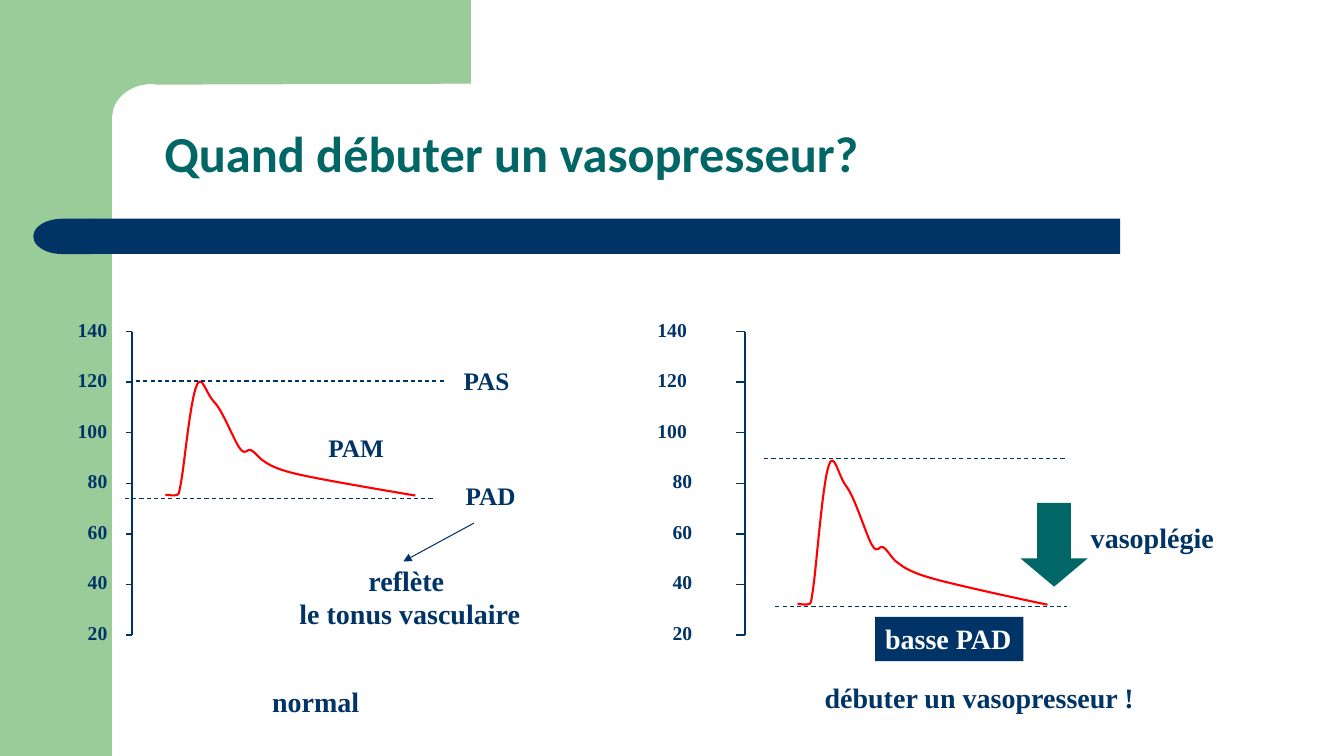
from lxml.etree import SubElement
from pptx import Presentation
from pptx.dml.color import RGBColor
from pptx.enum.dml import MSO_LINE
from pptx.enum.shapes import MSO_CONNECTOR, MSO_SHAPE
from pptx.enum.text import MSO_ANCHOR, MSO_AUTO_SIZE, PP_ALIGN
from pptx.oxml.ns import qn
from pptx.util import Pt

EMU_PER_PX = 9144  # 100 px to the inch
NAVY, TEAL, GREEN, RED, WHITE = "003366", "006666", "99CC99", "FF0000", "FFFFFF"
SERIF = {"name": "Times New Roman", "bold": True}

# Each step is a line (x, y) or a cubic curve (x1, y1, x2, y2, x, y).
CORNER = [
    (467, 0), (467, 83), (155, 84), (149, 83), (138, 85),
    (134, 86, 128, 89, 124, 92), (120, 95, 116, 100, 114, 104),
    (112, 108, 112, 112, 111, 116), (111, 128), (67, 128), (67, 83), (67, 0),
]
WAVE_SIZE = (248, 157)
WAVE = [
    (0, 153), (2, 153, 9, 155, 12, 153), (13, 152, 13, 156, 16, 134),
    (19, 112, 25, 33, 31, 16), (36, 0, 40, 25, 48, 36),
    (57, 47, 68, 85, 74, 95), (80, 105, 81, 94, 85, 97),
    (89, 99, 94, 109, 99, 112), (103, 115, 109, 121, 134, 128),
    (159, 135, 224, 149, 248, 154),
]


def px(length):
    return round(length * EMU_PER_PX)


def color(hex_string):
    return RGBColor.from_string(hex_string)


def apply_format(target, values):
    for name, value in values.items():
        setattr(target, name, value)


def place(shape, box):
    apply_format(shape, dict(zip(("left", "top", "width", "height"), map(px, box))))


def paint(shape, fill):
    shape.fill.solid()
    shape.fill.fore_color.rgb = color(fill)


def write(frame, text, size, ink, align=PP_ALIGN.LEFT, font=SERIF):
    for index, line in enumerate(text.split("\n")):
        para = frame.paragraphs[0] if index == 0 else frame.add_paragraph()
        para.alignment = align
        span = para.add_run()
        span.text = line
        apply_format(span.font, {**font, "size": Pt(size)})
        span.font.color.rgb = color(ink)


def add_label(slide, box, text, size=20, ink=NAVY, fill=WHITE, margins=(10, 5),
              wrap=False, align=PP_ALIGN.LEFT):
    label = slide.shapes.add_textbox(*map(px, box))
    across, down = map(px, margins)
    apply_format(label.text_frame, {
        "word_wrap": wrap, "margin_left": across, "margin_right": across,
        "margin_top": down, "margin_bottom": down,
    })
    if fill:
        paint(label, fill)
    write(label.text_frame, text, size, ink, align)


def add_solid(slide, kind, box, fill):
    shape = slide.shapes.add_shape(kind, *map(px, box))
    shape.shadow.inherit = False
    paint(shape, fill)
    shape.line.fill.background()
    return shape


def add_line(slide, start, end, weight, dashed=False, arrow=False):
    line = slide.shapes.add_connector(MSO_CONNECTOR.STRAIGHT, *map(px, start + end))
    line.line.color.rgb = color(NAVY)
    line.line.width = Pt(weight)
    if dashed:
        line.line.dash_style = MSO_LINE.DASH
    if arrow:
        SubElement(line.line._get_or_add_ln(), qn("a:tailEnd"), type="triangle")
    SubElement(line._element.spPr, qn("a:effectLst"))


def add_outline(slide, steps, close, origin=(0, 0), stretch=(1, 1)):
    """Build a freeform through every point, then bend each curve's three lines."""
    points = [tuple(px(origin[axis] + step[at + axis] * stretch[axis]) for axis in (0, 1))
              for step in steps for at in range(0, len(step), 2)]
    builder = slide.shapes.build_freeform(*points[0])
    builder.add_line_segments(points[1:], close=close)
    outline = builder.convert_to_shape()
    outline.shadow.inherit = False
    lines = iter(list(outline._element.iter(qn("a:lnTo"))))
    for step in steps[1:]:
        first = next(lines)
        if len(step) == 6:
            first.tag = qn("a:cubicBezTo")
            for line in (next(lines), next(lines)):
                first.append(line[0])
                line.getparent().remove(line)
    return outline


def add_backdrop(slide):
    add_solid(slide, MSO_SHAPE.RECTANGLE, (0, 0, 111, 750), GREEN)
    corner = add_outline(slide, CORNER, close=True)
    paint(corner, GREEN)
    corner.line.fill.background()
    add_solid(slide, MSO_SHAPE.RECTANGLE, (89, 217, 1022, 35), NAVY)
    cap = add_solid(slide, MSO_SHAPE.FLOWCHART_DELAY, (33, 217, 57, 35), NAVY)
    cap.rotation = 180
    for panel_back in ((242, 270, 1091, 417), (626, 308, 634, 421), (222, 269, 336, 312)):
        add_solid(slide, MSO_SHAPE.RECTANGLE, panel_back, WHITE)


def add_title(slide, box, text):
    title = slide.shapes.title
    place(title, box)
    apply_format(title.text_frame, {
        "vertical_anchor": MSO_ANCHOR.TOP, "auto_size": MSO_AUTO_SIZE.NONE,
        "word_wrap": True,
    })
    write(title.text_frame, text, 36, TEAL, font={"name": "Calibri", "bold": True})


def add_pressure_axis(slide, box, tick, indent):
    """Draw the 20 to 140 scale, its axis on the right edge of the box."""
    left, top, width, height = box
    axis = left + width
    add_line(slide, (axis, top), (axis, top + height), 1)
    for value in range(20, 141, 20):
        y = top + height * (140 - value) / 120
        add_line(slide, (axis - tick, y), (axis, y), 1)
        shift, label_width = (indent, 22) if value < 100 else (0, 32)
        add_label(slide, (left + shift, y - 14, label_width, 24), str(value), 14,
                  fill=None, margins=(0, 0))


def add_wave(slide, box):
    left, top, width, height = box
    stretch = (width / WAVE_SIZE[0], height / WAVE_SIZE[1])
    wave = add_outline(slide, WAVE, close=False, origin=(left, top), stretch=stretch)
    wave.fill.background()
    wave.line.color.rgb = color(RED)
    wave.line.width = Pt(1.5)


def add_normal_panel(slide, left, top):
    add_pressure_axis(slide, (left, top, 54, 301), tick=6, indent=10)
    add_wave(slide, (left + 87, top + 41, 248, 124))
    for x, y in ((58, 49), (47, 166)):
        add_line(slide, (left + x, top + y), (left + x + 306, top + y), 0.75, dashed=True)
    add_label(slide, (left + 183, top + 345, 107, 44), "normal")
    add_label(slide, (left + 145, top + 225, 369, 77), "reflète \nle tonus vasculaire",
              wrap=True, align=PP_ALIGN.CENTER)
    for text, x, y, width in (("PAS", 373, 29, 66), ("PAD", 375, 143, 70),
                              ("PAM", 239, 95, 76)):
        add_label(slide, (left + x, top + y, width, 40), text, 18)
    add_line(slide, (left + 393, top + 190), (left + 323, top + 228), 0.75, arrow=True)


def add_vasoplegia_panel(slide, left, top):
    add_pressure_axis(slide, (left, top, 87, 301), tick=9, indent=15)
    add_wave(slide, (left + 139, top + 117, 248, 157))
    for x, y in ((106, 126), (117, 273)):
        add_line(slide, (left + x, top + y), (left + 406, top + y), 0.75, dashed=True)
    add_label(slide, (left + 420, top + 182, 143, 44), "vasoplégie")
    arrow = add_solid(slide, MSO_SHAPE.DOWN_ARROW, (left + 360, top + 170, 67, 83), TEAL)
    arrow.adjustments[1] = 0.42
    add_label(slide, (left + 216, top + 283, 147, 44), "basse PAD", ink=WHITE, fill=NAVY)
    add_label(slide, (left + 156, top + 341, 476, 43), "débuter un vasopresseur !",
              wrap=True)


def main():
    deck = Presentation()
    deck.slide_width, deck.slide_height = px(1333), px(750)
    slide = deck.slides.add_slide(deck.slide_layouts[5])
    add_backdrop(slide)
    add_title(slide, (153, 116, 927, 131), "Quand débuter un vasopresseur?")
    add_normal_panel(slide, 77, 329)
    add_vasoplegia_panel(slide, 652, 329)
    deck.save("out.pptx")


if __name__ == "__main__":
    main()
